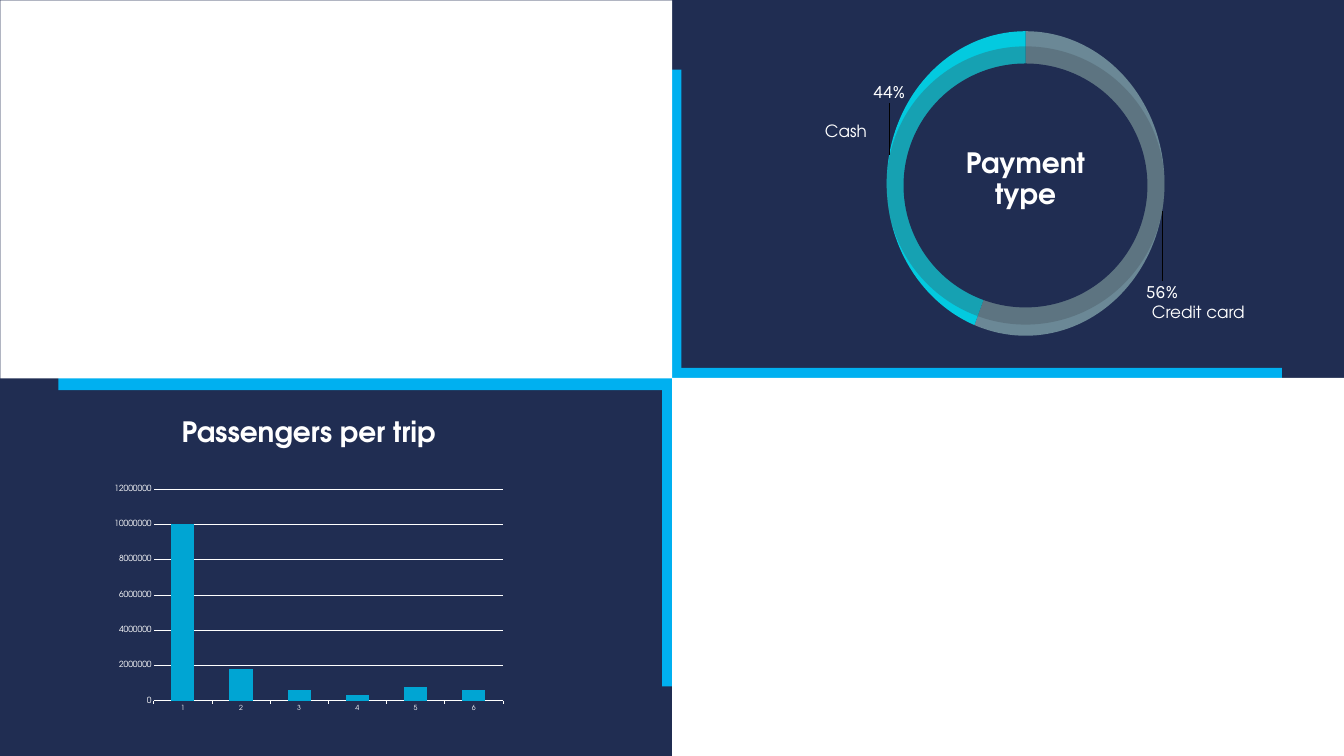
from lxml import etree
from pptx import Presentation
from pptx.chart.data import CategoryChartData
from pptx.dml.color import RGBColor
from pptx.enum.chart import XL_CHART_TYPE, XL_LABEL_POSITION, XL_TICK_MARK
from pptx.enum.shapes import MSO_SHAPE
from pptx.enum.text import MSO_ANCHOR, MSO_AUTO_SIZE, PP_ALIGN
from pptx.oxml.ns import qn
from pptx.util import Inches, Pt

LEFT, CENTER = PP_ALIGN.LEFT, PP_ALIGN.CENTER
RECTANGLE, OVAL = MSO_SHAPE.RECTANGLE, MSO_SHAPE.OVAL
NO_TICK, OUTSIDE_TICK = XL_TICK_MARK.NONE, XL_TICK_MARK.OUTSIDE
OUTSIDE_END = XL_LABEL_POSITION.OUTSIDE_END

FONT, LABEL_FONT = "TeX Gyre Adventor", "Karla"
COLORS = {
    "navy": "202D52", "blue": "00B0F0", "white": "FFFFFF", "slate": "6B8896",
    "cyan": "03CADF", "column": "00A5D3", "shade": "404C55",
}
WIDTH, HEIGHT = 26.67, 15
PANEL = (13.33, 7.5)

ACCENTS = [(13.14, 7.3, 12.3, 6.32), (1.16, 1.38, 12.36, 6.36)]
WHITE_PANELS = [(0.01, 0.01, *PANEL), (13.34, 7.5, *PANEL)]
RING_CENTER = (20.35, 3.68)
RING_DISCS = [(5.52, "shade", 32), (4.84, "navy", 100)]

TITLE = ("Passengers per trip", (3.24, 8.29, 5.77, 1.04))
RING_TITLE = ("Payment type", (18.66, 2.97, 3.38, 1.04))
RING_LABELS = [
    ("Credit card", (22.86, 6.04, 2.1, 1.04)),
    ("Cash", (16.37, 2.45, 2.1, 1.04)),
]

PAYMENT_SHARES = {"1": 56, "2": 44}
# Colour of each slice and the shift of its label, as fractions of the chart
PAYMENT_SLICES = [("slate", (-0.06, 0.2)), ("cyan", (0.06, -0.15))]
PAYMENT_AREA = (16.96, 0.28, 6.79, 6.79)
PAYMENT_PLOT = {"x": 0.05, "y": 0.05, "w": 0.9, "h": 0.89}
PASSENGER_TRIPS = {
    "1": 10000000, "2": 1800000, "3": 600000,
    "4": 300000, "5": 800000, "6": 600000,
}
PASSENGER_AREA = (2.11, 9.53, 8.03, 4.69)


def color(name):
    return RGBColor.from_string(COLORS[name])


def inches(area):
    return [Inches(value) for value in area]


def format_font(font, size, name=FONT, bold=False):
    font.name, font.size, font.bold = name, Pt(size), bold
    font.color.rgb = color("white")


def write_text(box, text, size=24, bold=False, align=LEFT):
    frame = box.text_frame
    frame.word_wrap = True
    frame.auto_size = MSO_AUTO_SIZE.NONE
    frame.vertical_anchor = MSO_ANCHOR.TOP
    frame.margin_left = frame.margin_right = 0
    frame.margin_top = frame.margin_bottom = 0
    para = frame.paragraphs[0]
    para.alignment, para.line_spacing = align, 0.9
    para.space_before, para.space_after = Pt(0), Pt(10)
    span = para.add_run()
    span.text = text
    format_font(span.font, size, bold=bold)


def add_block(shapes, kind, area, fill, opacity=100):
    block = shapes.add_shape(kind, *inches(area))
    block.shadow.inherit = False
    block.fill.solid()
    block.fill.fore_color.rgb = color(fill)
    block.line.fill.background()
    if opacity < 100:
        tint = block.fill._xPr.find(".//" + qn("a:srgbClr"))
        etree.SubElement(tint, qn("a:alpha"), val=str(opacity * 1000))


def add_chart(page, kind, values, area):
    data = CategoryChartData()
    data.categories = list(values)
    data.add_series("Series 1", list(values.values()))
    chart = page.shapes.add_chart(kind, *inches(area), data).chart
    chart.has_legend = chart.has_title = False
    format_font(chart.font, 10)
    return chart


def fill_layout(layout, settings):
    manual = etree.SubElement(layout, qn("c:manualLayout"))
    for tag, value in settings.items():
        etree.SubElement(manual, qn("c:" + tag), val=str(value))


def set_plot_layout(chart, fractions):
    """Fix the inner plot area to fractions of the chart's size."""
    plot_area = chart._chartSpace.find(".//" + qn("c:plotArea"))
    layout = plot_area.find(qn("c:layout"))
    if layout is None:
        layout = etree.Element(qn("c:layout"))
        plot_area.insert(0, layout)
    fill_layout(layout, {"layoutTarget": "inner", "xMode": "edge", "yMode": "edge", **fractions})


def format_share_label(point, shift):
    """Show the percentage on one line, shifted from its usual place."""
    label = point.data_label
    format_font(label.font, 27, name=LABEL_FONT)
    label.position = OUTSIDE_END
    element = label._get_or_add_dLbl()
    element.find(qn("c:showVal")).set("val", "0")
    element.find(qn("c:showPercent")).set("val", "1")
    element.find(".//" + qn("a:bodyPr")).set("wrap", "none")
    layout = etree.Element(qn("c:layout"))
    fill_layout(layout, dict(zip("xy", shift)))
    number_format = etree.Element(qn("c:numFmt"), formatCode="#,##0%", sourceLinked="0")
    element.insert(1, layout)
    element.insert(2, number_format)


def add_payment_ring(page):
    chart = add_chart(page, XL_CHART_TYPE.PIE, PAYMENT_SHARES, PAYMENT_AREA)
    set_plot_layout(chart, PAYMENT_PLOT)
    series = chart.plots[0].series[0]
    for index, (name, shift) in enumerate(PAYMENT_SLICES):
        point = series.points[index]
        point.format.fill.solid()
        point.format.fill.fore_color.rgb = color(name)
        point.format.line.fill.background()
        format_share_label(point, shift)
    labels = series.data_labels
    labels.show_percentage, labels.show_value = True, False
    labels.number_format, labels.number_format_is_linked = "#,##0%", False
    labels.position = OUTSIDE_END
    format_font(labels.font, 27, name=LABEL_FONT)

    group = page.shapes.add_group_shape()
    for size, fill, opacity in RING_DISCS:
        left, top = (middle - size / 2 for middle in RING_CENTER)
        add_block(group.shapes, OVAL, (left, top, size, size), fill, opacity)


def add_passenger_columns(page):
    chart = add_chart(page, XL_CHART_TYPE.COLUMN_STACKED, PASSENGER_TRIPS, PASSENGER_AREA)
    plot = chart.plots[0]
    plot.gap_width, plot.overlap, plot.vary_by_categories = 150, 100, False
    fill = plot.series[0].format.fill
    fill.solid()
    fill.fore_color.rgb = color("column")

    categories, values = chart.category_axis, chart.value_axis
    categories.major_tick_mark, values.major_tick_mark = OUTSIDE_TICK, NO_TICK
    categories.format.line.color.rgb = color("white")
    values.format.line.fill.background()
    values.tick_labels.number_format = "0"
    values.tick_labels.number_format_is_linked = False
    values.maximum_scale, values.minimum_scale = 12000000, 0
    values.major_unit = 2000000
    values.has_major_gridlines = True
    grid = values.major_gridlines.format.line
    grid.color.rgb, grid.width = color("white"), Pt(0.75)
    format_font(categories.tick_labels.font, 10)
    format_font(values.tick_labels.font, 12)


def main():
    deck = Presentation()
    deck.slide_width, deck.slide_height = Inches(WIDTH), Inches(HEIGHT)
    page = deck.slides.add_slide(deck.slide_layouts[5])
    page.background.fill.solid()
    page.background.fill.fore_color.rgb = color("navy")

    text, area = TITLE
    title = page.shapes.title
    title.left, title.top, title.width, title.height = inches(area)
    write_text(title, text, size=40, bold=True, align=CENTER)

    for area in ACCENTS:
        add_block(page.shapes, RECTANGLE, area, "blue")
    for area in WHITE_PANELS:
        add_block(page.shapes, RECTANGLE, area, "white")
    add_payment_ring(page)
    add_passenger_columns(page)
    for text, area in RING_LABELS:
        write_text(page.shapes.add_textbox(*inches(area)), text)
    text, area = RING_TITLE
    write_text(page.shapes.add_textbox(*inches(area)), text, size=40, bold=True, align=CENTER)

    deck.save("out.pptx")


if __name__ == "__main__":
    main()
